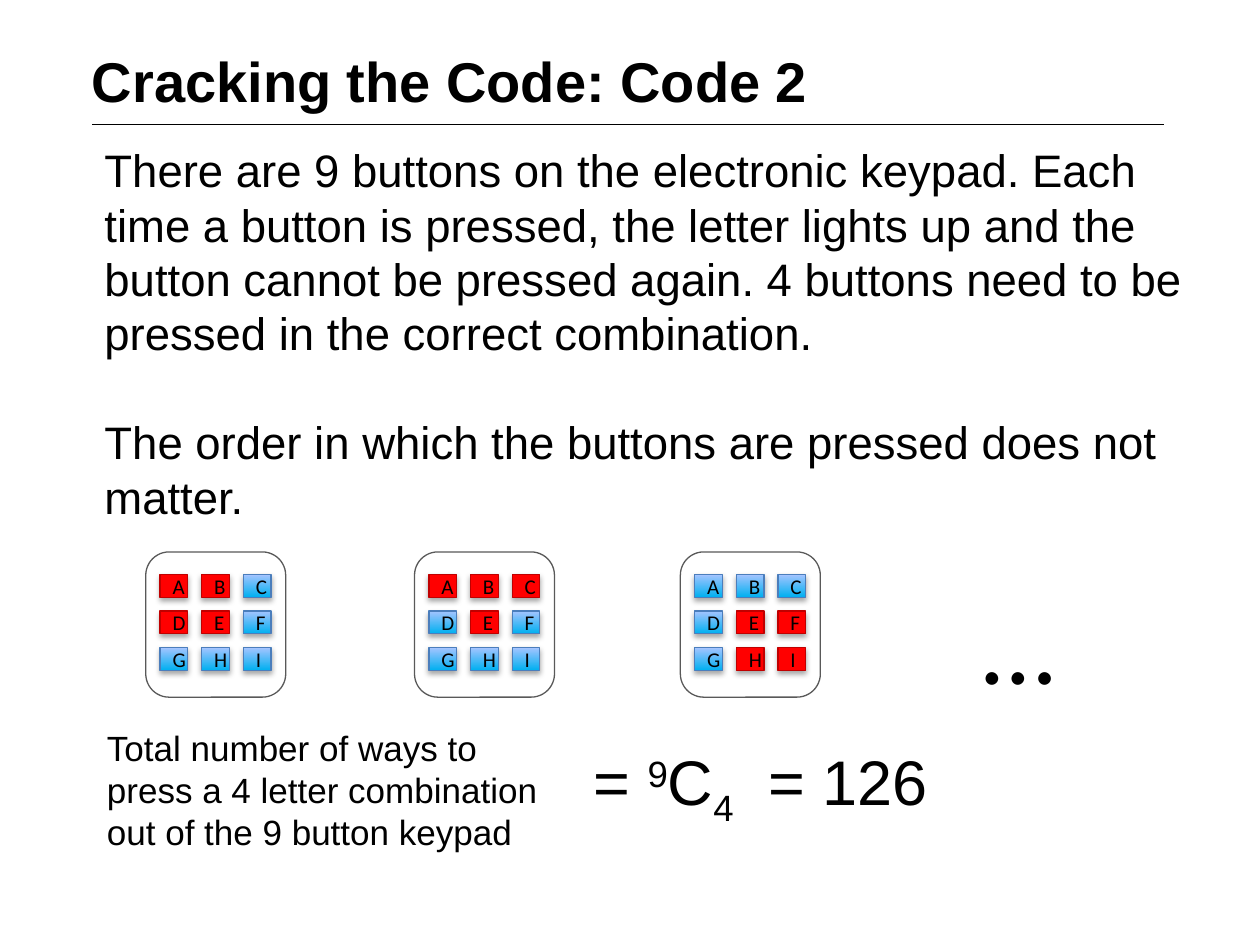
import pptx
import pptx.util
import pptx.dml.color
import pptx.enum.shapes
import pptx.enum.text
import lxml.etree

Pt = pptx.util.Pt
SHAPE = pptx.enum.shapes.MSO_SHAPE
ALIGN = pptx.enum.text.PP_ALIGN
ANCHOR = pptx.enum.text.MSO_ANCHOR
A = "{http://schemas.openxmlformats.org/drawingml/2006/main}"

COLORS = {
    "text": "000000", "panel": "FFFFFF", "panel edge": "595959",
    "pressed": "FF0000", "pressed edge": "C00000",
    "button low": "00B0F0", "button high": "A4C4FF", "button edge": "4B7EBC",
}

TITLE = "Cracking the Code: Code 2"
RULES = [
    "There are 9 buttons on the electronic keypad. Each time a button is pressed, "
    "the letter lights up and the button cannot be pressed again. 4 buttons need "
    "to be pressed in the correct combination.",
    "The order in which the buttons are pressed does not matter.",
]
QUESTION = "Total number of ways to press a 4 letter combination out of the 9 button keypad"
FORMULA = [("= ", 0), ("9", 30), ("C", 0), ("4", -25), ("  = 126", 0)]

LETTERS = "ABCDEFGHI"
KEYPADS = [(83.3, "ABDE"), (236.9, "ABCE"), (388.8, "EFHI")]
PANEL_TOP, PANEL_WIDTH, PANEL_HEIGHT = 315.4, 80, 83
BUTTON_WIDTH, BUTTON_HEIGHT = 15.8, 13
COLUMN_STEP, ROW_STEP = 23.8, 20.9
MARGIN_X, MARGIN_Y = 8.2, 12.9


def rgb(name):
    return pptx.dml.color.RGBColor.from_string(COLORS[name])


def add_run(paragraph, text, size, font="Arial", bold=False, baseline=0):
    run = paragraph.add_run()
    run.text = text
    run.font.size = Pt(size)
    run.font.name = font
    run.font.bold = bold
    run.font.color.rgb = rgb("text")
    if baseline:
        run.font._element.set("baseline", str(baseline * 1000))


def add_text(slide, box, paragraphs, size, font="Arial", bold=False,
             pitch=None, gap=0, indent=0, align=ALIGN.LEFT):
    frame = slide.shapes.add_textbox(*map(Pt, box)).text_frame
    frame.word_wrap = True
    for index, runs in enumerate(paragraphs):
        paragraph = frame.add_paragraph() if index else frame.paragraphs[0]
        paragraph.alignment = align
        if pitch:
            paragraph.line_spacing = Pt(pitch)
        if index:
            paragraph.space_before = Pt(gap)
        if indent:
            paragraph._p.get_or_add_pPr().set("marL", str(Pt(indent)))
        for text, baseline in runs:
            add_run(paragraph, text, size, font, bold, baseline)


def add_box(slide, preset, box, edge):
    shape = slide.shapes.add_shape(preset, *map(Pt, box))
    shape.shadow.inherit = False
    shape.line.color.rgb = rgb(edge)
    shape.line.width = Pt(0.75)
    return shape


def add_button(slide, left, top, letter, pressed):
    button = add_box(slide, SHAPE.RECTANGLE, (left, top, BUTTON_WIDTH, BUTTON_HEIGHT),
                     "pressed edge" if pressed else "button edge")
    if pressed:
        button.fill.solid()
        button.fill.fore_color.rgb = rgb("pressed")
    else:
        button.fill.gradient()
        button.fill.gradient_angle = 90
        for stop, name in zip(button.fill.gradient_stops, ("button low", "button high")):
            stop.color.rgb = rgb(name)

    effects = button._element.spPr.find(A + "effectLst")
    shadow = lxml.etree.SubElement(effects, A + "outerShdw", blurRad=str(Pt(3.1)),
                                   dist=str(Pt(1.8)), dir="5400000", rotWithShape="0")
    shade = lxml.etree.SubElement(shadow, A + "srgbClr", val=COLORS["text"])
    lxml.etree.SubElement(shade, A + "alpha", val="35000")

    frame = button.text_frame
    frame.word_wrap = True
    frame.vertical_anchor = ANCHOR.MIDDLE
    frame.paragraphs[0].alignment = ALIGN.CENTER
    add_run(frame.paragraphs[0], letter, 12, "Calibri")


def add_keypad(slide, left, combination):
    panel = add_box(slide, SHAPE.ROUNDED_RECTANGLE,
                    (left, PANEL_TOP, PANEL_WIDTH, PANEL_HEIGHT), "panel edge")
    panel.fill.solid()
    panel.fill.fore_color.rgb = rgb("panel")
    for index, letter in enumerate(LETTERS):
        row, column = divmod(index, 3)
        add_button(slide, left + MARGIN_X + column * COLUMN_STEP,
                   PANEL_TOP + MARGIN_Y + row * ROW_STEP, letter, letter in combination)


def main():
    deck = pptx.Presentation()
    deck.slide_width, deck.slide_height = Pt(720), Pt(540)
    slide = deck.slides.add_slide(deck.slide_layouts[6])

    underline = slide.shapes.add_connector(
        pptx.enum.shapes.MSO_CONNECTOR.STRAIGHT, Pt(52.6), Pt(71.2), Pt(665.3), Pt(71.2))
    underline.line.color.rgb = rgb("text")
    underline.line.width = Pt(0.25)
    lxml.etree.SubElement(underline._element.spPr, A + "effectLst")

    add_text(slide, (45.4, 23, 424.8, 54.7), [[(TITLE, 0)]], 32, bold=True, pitch=38.4)
    add_text(slide, (25.2, 77.8, 674.6, 350), [[(rule, 0)] for rule in RULES], 26,
             pitch=31.1, gap=31.1, indent=27.4)
    add_text(slide, (541.4, 327.6, 82.1, 79.9), [[("…", 0)]], 60, "Calibri",
             align=ALIGN.CENTER)
    for left, combination in KEYPADS:
        add_keypad(slide, left, combination)
    add_text(slide, (54, 411.8, 272.2, 79.9), [[(QUESTION, 0)]], 20, pitch=24)
    add_text(slide, (331.9, 426.2, 209.5, 51.1), [FORMULA], 36, pitch=44)

    deck.save("out.pptx")


if __name__ == "__main__":
    main()
